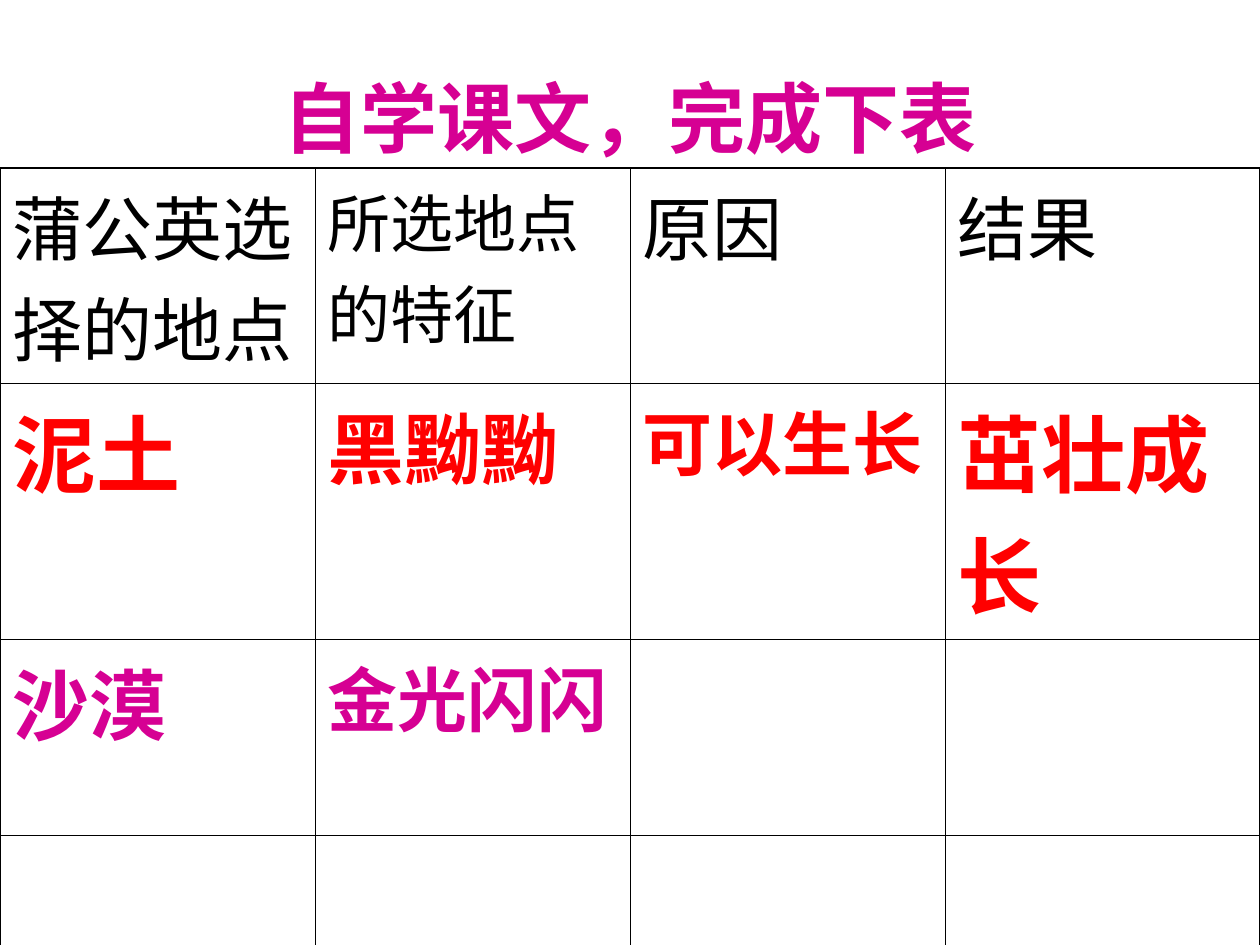
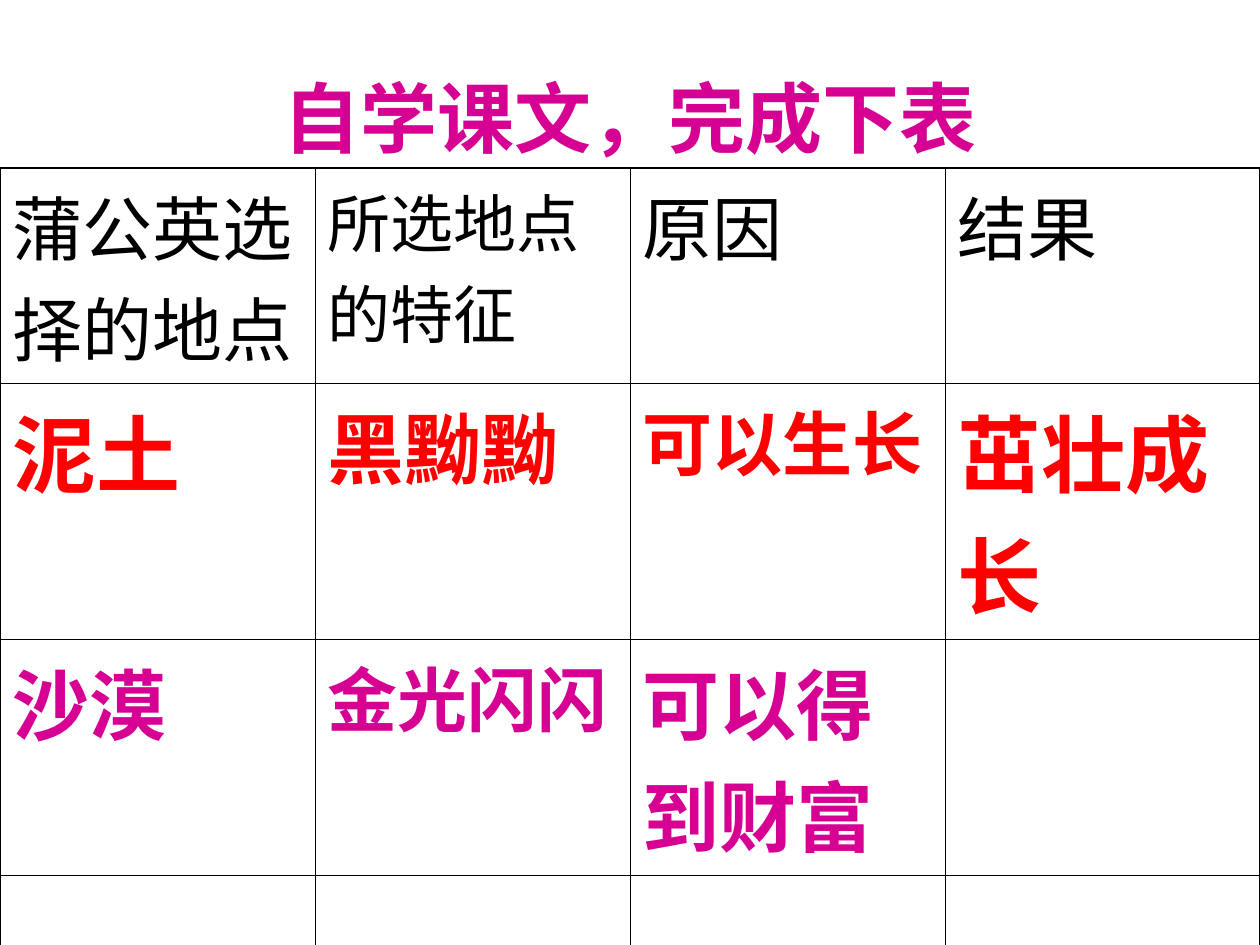
from lxml import etree
from pptx import Presentation, util as u
from pptx.dml.color import RGBColor
from pptx.enum import text
from pptx.oxml.ns import qn

PX = 914400 // 126
FONT, BLACK, RED, PINK = "Arial", "000000", "FF0000", "D60093"
THIN, THICK = 0.45, 1.08
TITLE = "自学课文，完成下表"

# Each cell holds its text and its size in points
HEAD = [("蒲公英选择的地点", 40), ("所选地点的特征", 36), ("原因", 40), ("结果", 40)]
SOIL = [("泥土", 48), ("黑黝黝", 44), ("可以生长", 40), ("茁壮成长", 48)]
SAND = [("沙漠", 44), ("金光闪闪", 40)]
WEALTH = ("可以得到财富", 44)
STYLES = [(BLACK, False), (RED, True), (PINK, True), (BLACK, False)]


def px(n):
    return u.Emu(n * PX)


def color(code):
    return RGBColor.from_string(code)


def style(par, size, code, bold):
    font = par.font
    font.name, font.size, font.bold = FONT, u.Pt(size), bold
    font.color.rgb = color(code)


def border(cell, side, width):
    line = etree.SubElement(cell._tc.get_or_add_tcPr(), qn("a:ln" + side),
                            w=str(u.Pt(width)))
    fill = etree.SubElement(line, qn("a:solidFill"))
    etree.SubElement(fill, qn("a:srgbClr"), val=BLACK)


def add_title(slide, x, y, w, h):
    frame = slide.shapes.add_textbox(px(x), px(y), px(w), px(h)).text_frame
    frame.word_wrap = True
    frame.vertical_anchor = text.MSO_ANCHOR.MIDDLE
    par = frame.paragraphs[0]
    par.text = TITLE
    par.alignment = text.PP_ALIGN.CENTER
    style(par, 44, PINK, True)


def add_grid(slide, x, y, w, heights, rows):
    last, cols = len(rows) - 1, len(HEAD)
    table = slide.shapes.add_table(len(rows), cols, px(x), px(y), px(w),
                                   px(sum(heights))).table
    table.first_row = table.horz_banding = False
    for col in table.columns:
        col.width = px(w // cols)
    for r, (row, height) in enumerate(zip(rows, heights)):
        table.rows[r].height = px(height)
        for c in range(cols):
            cell = table.cell(r, c)
            # Thick outer frame, thin inner lines
            edges = {"L": c == 0, "R": c == cols - 1, "T": r == 0, "B": r == last}
            for side, outer in edges.items():
                border(cell, side, THICK if outer else THIN)
            cell.fill.background()
            if c < len(row):
                words, size = row[c]
                par = cell.text_frame.paragraphs[0]
                par.text = words
                par.space_before = u.Pt(size // 4)
                style(par, size, *STYLES[r])


def add_page(deck, sand, height):
    slide = deck.slides.add_slide(deck.slide_layouts[6])
    add_title(slide, 63, 38, 1134, 158)
    add_grid(slide, 0, 168, 1260, [215, 256, height, 194], [HEAD, SOIL, sand, []])


def main():
    deck = Presentation()
    deck.slide_width, deck.slide_height = px(1260), px(945)
    add_page(deck, SAND, 196)
    add_page(deck, SAND + [WEALTH], 236)
    deck.save("out.pptx")


if __name__ == "__main__":
    main()
